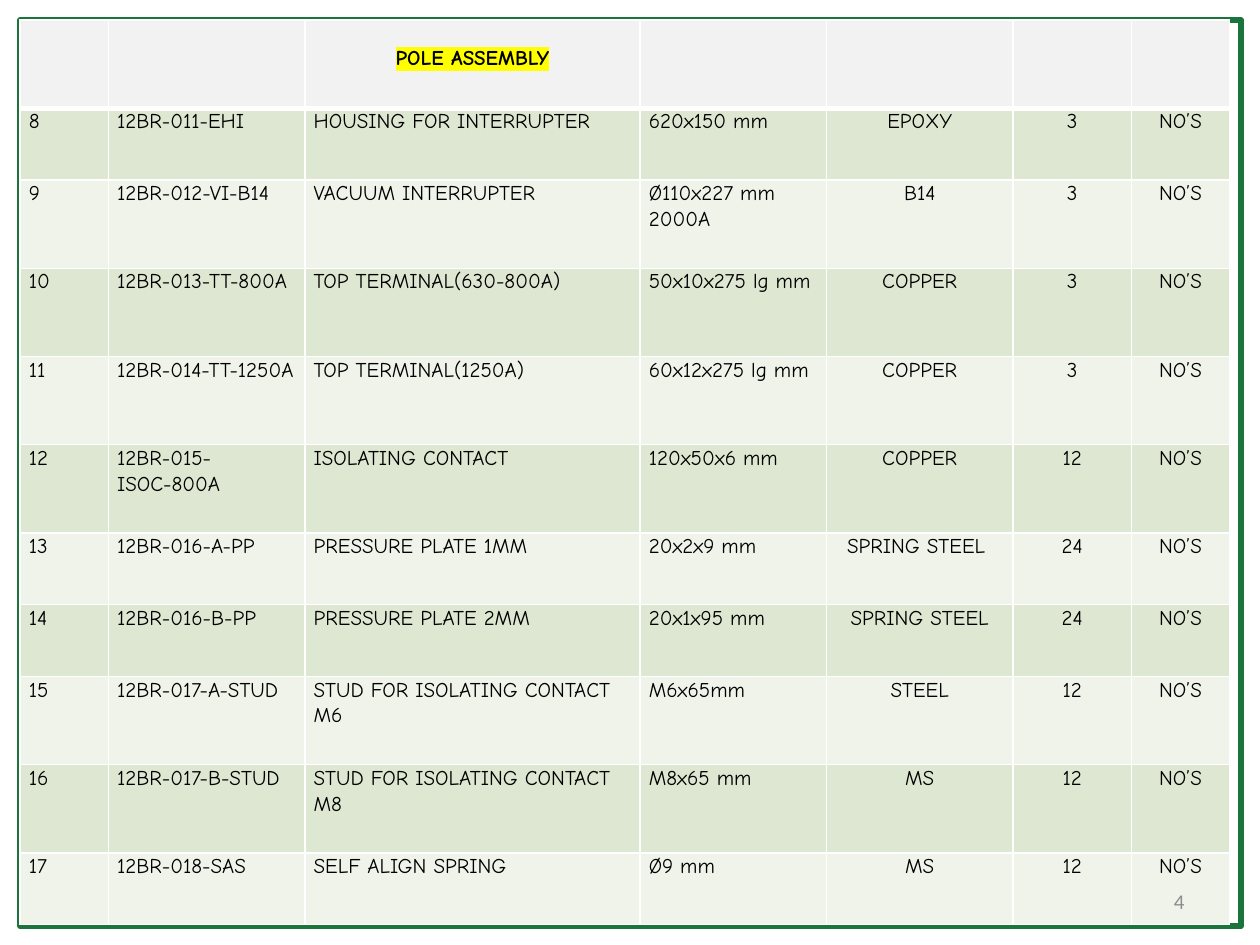
from lxml import etree
from pptx import Presentation
from pptx import util as u
from pptx.dml.color import RGBColor
from pptx.enum import shapes, text
from pptx.oxml import ns

COLORS = {
    "frame": "1A743C", "header": "F2F2F2", "dark_band": "DEE7D1", "light_band": "EFF3EA",
    "border": "FFFFFF", "text": "000000", "highlight": "FFFF00", "number": "8C8C8C",
}
LEFT, CENTER, RIGHT = text.PP_ALIGN.LEFT, text.PP_ALIGN.CENTER, text.PP_ALIGN.RIGHT

COLUMN_WIDTHS = [0.7, 1.56, 2.66, 1.48, 1.48, 0.94, 0.78]
COLUMN_ALIGNS = [LEFT] * 4 + [CENTER] * 3
TALL, SHORT = 0.7, 0.57
PARTS = [
    (SHORT, "12BR-011-EHI", "HOUSING FOR INTERRUPTER", "620x150 mm", "EPOXY", "3"),
    (TALL, "12BR-012-VI-B14", "VACUUM INTERRUPTER", "Ø110x227 mm 2000A", "B14", "3"),
    (TALL, "12BR-013-TT-800A", "TOP TERMINAL(630-800A)", "50x10x275 lg mm", "COPPER", "3"),
    (TALL, "12BR-014-TT-1250A", "TOP TERMINAL(1250A)", "60x12x275 lg mm", "COPPER", "3"),
    (TALL, "12BR-015-ISOC-800A", "ISOLATING CONTACT", "120x50x6 mm", "COPPER", "12"),
    (SHORT, "12BR-016-A-PP", "PRESSURE PLATE 1MM", "20x2x9 mm", "SPRING STEEL ", "24"),
    (SHORT, "12BR-016-B-PP", "PRESSURE PLATE 2MM", "20x1x95 mm", "SPRING STEEL", "24"),
    (TALL, "12BR-017-A-STUD", "STUD FOR ISOLATING CONTACT M6", "M6x65mm", "STEEL", "12"),
    (TALL, "12BR-017-B-STUD", "STUD FOR ISOLATING CONTACT M8", "M8x65 mm", "MS", "12"),
    (SHORT, "12BR-018-SAS", "SELF ALIGN SPRING", "Ø9 mm", "MS", "12"),
]
FIRST_ITEM = 8


def write_text(frame, content, font="Comic Neue", color="text", align=LEFT,
               bold=False, spacing=1.07, highlight=None):
    paragraph = frame.paragraphs[0]
    paragraph.alignment = align
    paragraph.line_spacing = spacing
    run = paragraph.add_run()
    run.text = content
    run.font.size = u.Pt(12)
    run.font.bold = bold
    run.font.color.rgb = RGBColor.from_string(COLORS[color])
    if highlight:
        mark = etree.SubElement(run.font._element, ns.qn("a:highlight"))
        etree.SubElement(mark, ns.qn("a:srgbClr"), val=COLORS[highlight])
    run.font.name = font


def style_cell(cell, fill, top, bottom):
    """Fill a cell and draw its white borders, with top and bottom widths in points."""
    cell.fill.solid()
    cell.fill.fore_color.rgb = RGBColor.from_string(COLORS[fill])
    properties = cell._tc.get_or_add_tcPr()
    widths = {"a:lnL": 1, "a:lnR": 1, "a:lnT": top, "a:lnB": bottom}
    for position, (tag, width) in enumerate(widths.items()):
        line = etree.Element(ns.qn(tag), w=str(u.Pt(width)))
        solid = etree.SubElement(line, ns.qn("a:solidFill"))
        etree.SubElement(solid, ns.qn("a:srgbClr"), val=COLORS["border"])
        properties.insert(position, line)


presentation = Presentation()
presentation.slide_width = u.Inches(10)
presentation.slide_height = u.Inches(7.5)
slide = presentation.slides.add_slide(presentation.slide_layouts[6])

# Frame behind the table
frame = slide.shapes.add_shape(shapes.MSO_SHAPE.RECTANGLE, u.Inches(0.16), u.Inches(0.16),
                               u.Inches(9.69), u.Inches(7.19))
frame.shadow.inherit = False
frame.fill.background()
frame.line.color.rgb = RGBColor.from_string(COLORS["frame"])
frame.line.width = u.Pt(3.5)

# Parts table
row_heights = [TALL] + [part[0] for part in PARTS]
table = slide.shapes.add_table(len(row_heights), len(COLUMN_WIDTHS), u.Inches(0.16), u.Inches(0.16),
                               u.Inches(sum(COLUMN_WIDTHS)), u.Inches(sum(row_heights))).table
for column, width in zip(table.columns, COLUMN_WIDTHS):
    column.width = u.Inches(width)
for row, height in zip(table.rows, row_heights):
    row.height = u.Inches(height)

for cell in table.rows[0].cells:
    style_cell(cell, "header", top=1, bottom=3)
heading = table.cell(0, 2)
heading.margin_left = heading.margin_right = u.Inches(0.07)
heading.margin_top, heading.margin_bottom = u.Inches(0.2), 0
write_text(heading.text_frame, "POLE ASSEMBLY", align=CENTER, bold=True, highlight="highlight")

for index, (_, *details) in enumerate(PARTS):
    values = [str(FIRST_ITEM + index), *details, "NO’S"]
    band = "light_band" if index % 2 else "dark_band"
    for cell, value, align in zip(table.rows[index + 1].cells, values, COLUMN_ALIGNS):
        style_cell(cell, band, top=1 if index else 3, bottom=1)
        cell.margin_left = cell.margin_right = u.Inches(0.07)
        cell.margin_top = cell.margin_bottom = 0
        write_text(cell.text_frame, value, align=align)

# Slide number
number = slide.shapes.add_textbox(u.Inches(7.17), u.Inches(6.95), u.Inches(2.33), u.Inches(0.4))
number.text_frame.word_wrap = True
number.text_frame.vertical_anchor = text.MSO_ANCHOR.MIDDLE
write_text(number.text_frame, "4", font="Calibri", color="number", align=RIGHT, spacing=1.0)

presentation.save("out.pptx")
